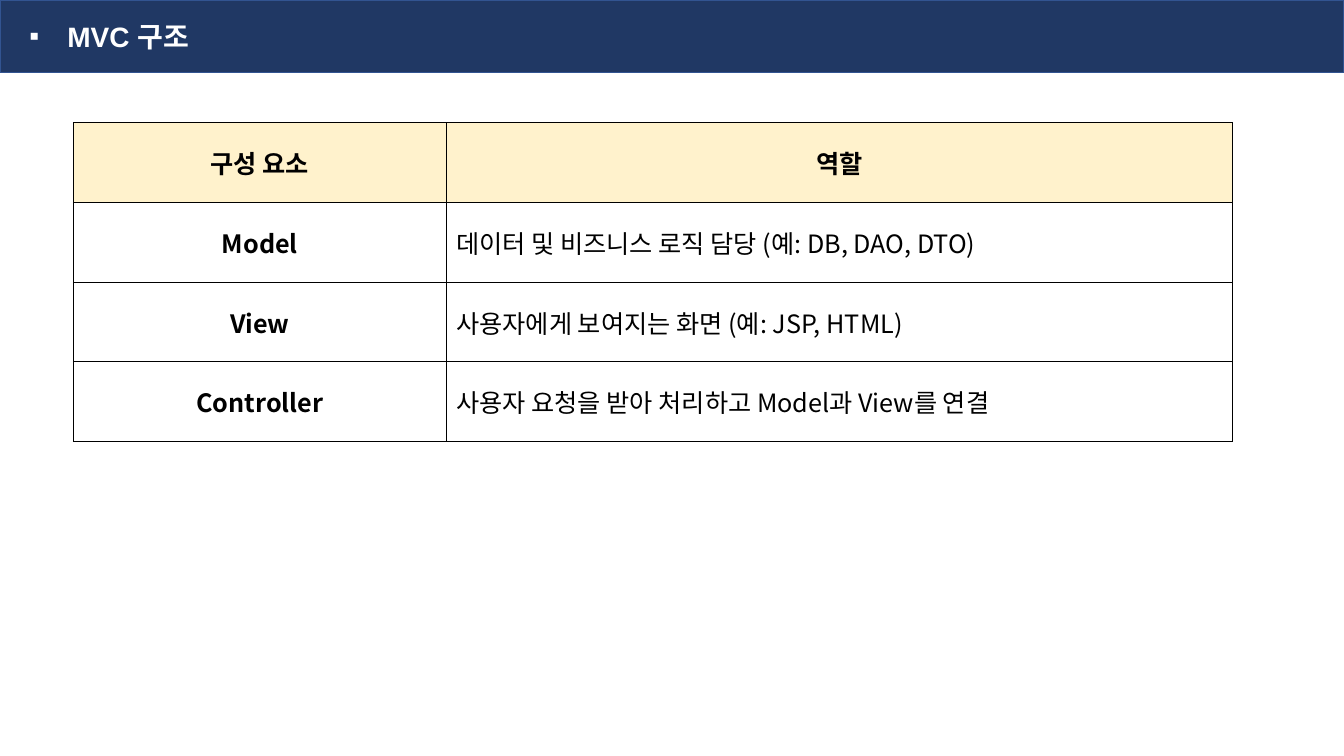
import pptx
import pptx.util
import pptx.dml.color
import pptx.enum.shapes
import pptx.enum.text
import pptx.oxml
import pptx.oxml.ns
from lxml import etree

Pt = pptx.util.Pt
ALIGN = pptx.enum.text.PP_ALIGN
MIDDLE = pptx.enum.text.MSO_ANCHOR.MIDDLE
KOREAN = "Noto Sans CJK KR"
COLORS = {
    "navy": "203864",
    "edge": "325491",
    "cream": "FFF2CC",
    "black": "000000",
    "white": "FFFFFF",
}
ROLES = [
    ("구성 요소", "역할"),
    ("Model", "데이터 및 비즈니스 로직 담당 (예: DB, DAO, DTO)"),
    ("View", "사용자에게 보여지는 화면 (예: JSP, HTML)"),
    ("Controller", "사용자 요청을 받아 처리하고 Model과 View를 연결"),
]


def rgb(name):
    return pptx.dml.color.RGBColor.from_string(COLORS[name])


def add_element(parent, tag, **attributes):
    return etree.SubElement(parent, pptx.oxml.ns.qn(tag), attributes)


class SlideBuilder:
    def __init__(self, page):
        self.page = page

    def style_text(self, para, size, color, bold, align, latin=KOREAN):
        para.alignment = align
        font = para.font
        font.size = Pt(size)
        font.bold = bold
        font.color.rgb = rgb(color)
        font.name = latin
        defaults = para._p.pPr.find(pptx.oxml.ns.qn("a:defRPr"))
        add_element(defaults, "a:ea", typeface=KOREAN)

    def title_bar(self, text, width, height):
        bar = self.page.shapes.add_shape(
            pptx.enum.shapes.MSO_SHAPE.RECTANGLE, 0, 0, Pt(width), Pt(height))
        bar.shadow.inherit = False
        bar.fill.solid()
        bar.fill.fore_color.rgb = rgb("navy")
        bar.line.color.rgb = rgb("edge")
        bar.line.width = Pt(1)
        bar.text_frame.vertical_anchor = MIDDLE
        para = bar.text_frame.paragraphs[0]
        para.text = text
        properties = para._p.get_or_add_pPr()
        properties.set("marL", str(Pt(41)))
        properties.set("indent", str(Pt(-27)))
        add_element(properties, "a:buFont", typeface="Arial")
        add_element(properties, "a:buChar", char="▪")
        self.style_text(para, 20, "white", True, ALIGN.LEFT, "Arial")

    def cell_borders(self, cell):
        properties = cell._tc.get_or_add_tcPr()
        for side in ("L", "R", "T", "B"):
            line = add_element(properties, f"a:ln{side}", w=str(Pt(1)))
            fill = add_element(line, "a:solidFill")
            add_element(fill, "a:srgbClr", val=COLORS["black"])

    def table(self, rows, left, top, widths, row_height):
        frame = self.page.shapes.add_table(
            len(rows), len(widths), Pt(left), Pt(top),
            Pt(sum(widths)), Pt(row_height * len(rows)))
        table = frame.table
        table.first_row = False
        table.horz_banding = False
        for column, width in zip(table.columns, widths):
            column.width = Pt(width)
        for r, texts in enumerate(rows):
            for c, text in enumerate(texts):
                cell = table.cell(r, c)
                cell.vertical_anchor = MIDDLE
                self.cell_borders(cell)
                if r == 0:
                    cell.fill.solid()
                    cell.fill.fore_color.rgb = rgb("cream")
                else:
                    cell.fill.background()
                heading = r == 0 or c == 0
                para = cell.text_frame.paragraphs[0]
                para.text = text
                self.style_text(para, 18, "black", heading,
                                ALIGN.CENTER if heading else ALIGN.LEFT)


def main():
    deck = pptx.Presentation()
    deck.slide_width, deck.slide_height = Pt(960), Pt(540)
    builder = SlideBuilder(deck.slides.add_slide(deck.slide_layouts[6]))
    builder.title_bar("MVC 구조", 960, 51.8)
    builder.table(ROLES, 52.4, 87.8, (266.4, 561.6), 56.9)
    deck.save("out.pptx")


if __name__ == "__main__":
    main()
